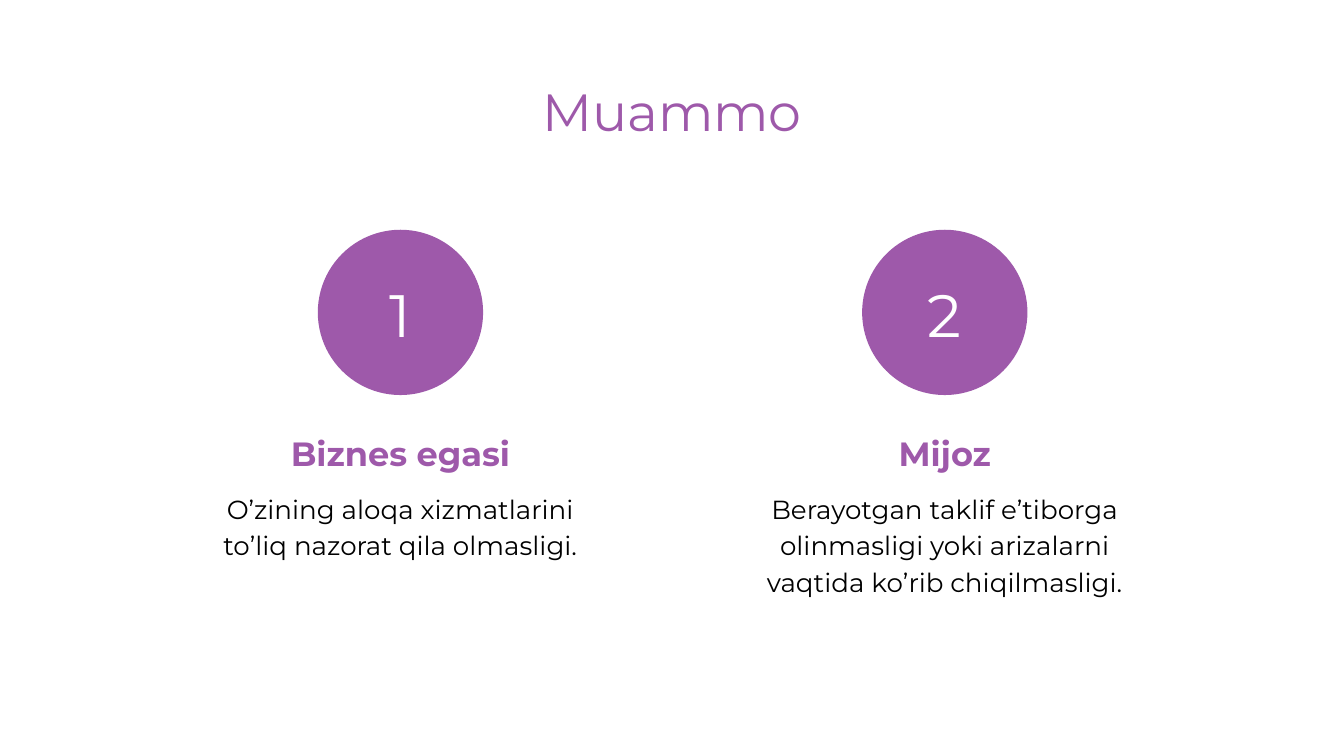
import pptx
import pptx.dml.color
import pptx.enum.shapes
import pptx.enum.text
import pptx.util

Inches = pptx.util.Inches
Anchor = pptx.enum.text.MSO_ANCHOR
PURPLE = pptx.dml.color.RGBColor(0x9E, 0x59, 0xAA)
BLACK = pptx.dml.color.RGBColor(0, 0, 0)
WHITE = pptx.dml.color.RGBColor(0xFF, 0xFF, 0xFF)

PROBLEMS = [
    ("1", "Biznes egasi", "O’zining aloqa xizmatlarini to’liq nazorat qila olmasligi."),
    ("2", "Mijoz", "Berayotgan taklif e’tiborga olinmasligi yoki arizalarni vaqtida ko’rib chiqilmasligi."),
]
FIRST_CENTER, COLUMN_STEP = 2.98, 4.05
CIRCLE_TOP, CIRCLE_SIZE = 1.71, 1.23
# top, width, height, anchor, line spacing and font of each text in a column
NUMBER = (2.04, 0.58, 0.58, Anchor.MIDDLE, 1.0, {"size": pptx.util.Pt(32), "color": WHITE})
HEADING = (3.08, 3.06, 0.63, Anchor.TOP, 1.15,
           {"size": pptx.util.Pt(18), "color": PURPLE, "bold": True})
BODY = (3.54, 3.06, 1.6, Anchor.TOP, 1.15, {"size": pptx.util.Pt(14), "color": BLACK})


def write_centered(shape, text, anchor, spacing, font):
    frame = shape.text_frame
    layout = {"word_wrap": True, "auto_size": pptx.enum.text.MSO_AUTO_SIZE.NONE,
              "vertical_anchor": anchor}
    for side in ("left", "top", "right", "bottom"):
        layout["margin_" + side] = Inches(0.1)
    for name, value in layout.items():
        setattr(frame, name, value)
    para = frame.paragraphs[0]
    para.alignment = pptx.enum.text.PP_ALIGN.CENTER
    para.line_spacing = spacing
    span = para.add_run()
    span.text = text
    span.font.name = "Montserrat"
    for name, value in font.items():
        if name == "color":
            span.font.color.rgb = value
        else:
            setattr(span.font, name, value)


deck = pptx.Presentation()
deck.slide_width = Inches(10)
deck.slide_height = Inches(10) * 9 // 16
page = deck.slides.add_slide(deck.slide_layouts.get_by_name("Title Only"))

title = page.shapes.title
for name, value in {"left": 0.78, "top": 0.49, "width": 8.44, "height": 0.63}.items():
    setattr(title, name, Inches(value))
write_centered(title, "Muammo", Anchor.TOP, 1.0, {"size": pptx.util.Pt(28), "color": PURPLE})

for column, (number, heading, body) in enumerate(PROBLEMS):
    center = FIRST_CENTER + column * COLUMN_STEP
    circle = page.shapes.add_shape(
        pptx.enum.shapes.MSO_SHAPE.OVAL, Inches(center - CIRCLE_SIZE / 2),
        Inches(CIRCLE_TOP), Inches(CIRCLE_SIZE), Inches(CIRCLE_SIZE))
    circle.shadow.inherit = False
    circle.fill.solid()
    circle.fill.fore_color.rgb = PURPLE
    circle.line.fill.background()
    for text, style in ((number, NUMBER), (heading, HEADING), (body, BODY)):
        top, width, height, anchor, spacing, font = style
        box = page.shapes.add_textbox(
            Inches(center - width / 2), Inches(top), Inches(width), Inches(height))
        write_centered(box, text, anchor, spacing, font)

deck.save("out.pptx")
